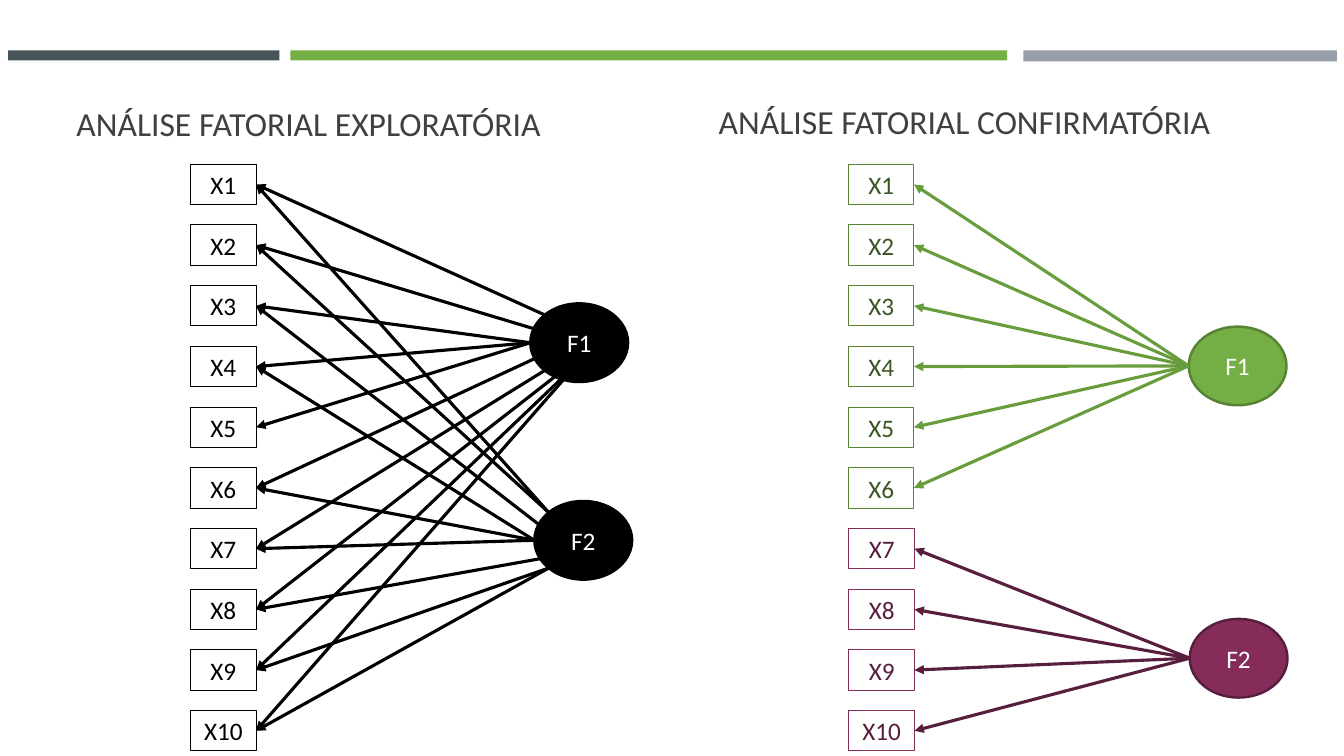
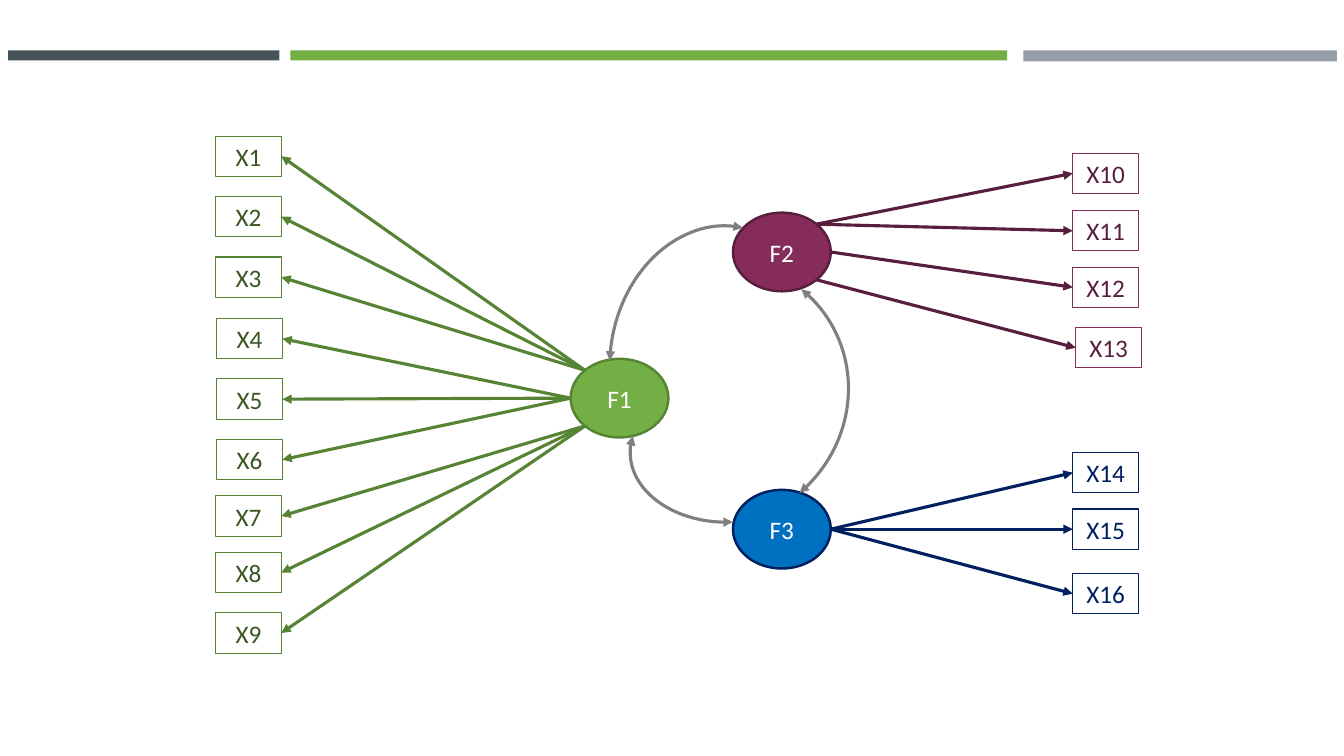
"""Builds two slides on exploratory and confirmatory factor analysis."""
from math import cos, radians, sin

from lxml import etree
from pptx import Presentation
from pptx.dml.color import RGBColor
from pptx.enum import shapes, text
from pptx.oxml.ns import qn
from pptx.util import Inches, Pt

COLORS = {
    "white": "FFFFFF", "black": "000000", "title": "404040", "slate": "465359",
    "steel": "969FA7", "green": "74AF45", "mid_green": "689D3E",
    "dark_green": "578334", "deep_green": "3A5723", "plum": "852C5B",
    "dark_plum": "581E3D", "blue": "0070C0", "navy": "002060", "gray": "808080",
}
RGB = {name: RGBColor.from_string(value) for name, value in COLORS.items()}
RECT, OVAL, ARC = (shapes.MSO_SHAPE.RECTANGLE, shapes.MSO_SHAPE.OVAL,
                   shapes.MSO_SHAPE.ARC)
BOX_W, BOX_H = 0.65, 0.4
FACTOR_W, FACTOR_H = 0.97, 0.78
LEFT_SIDE, RIGHT_SIDE = 1, 3


def add_label(slide, words, x, y, w, h, kind=RECT, fill=None, line=None,
              weight=0.75, color="white", size=18, align=text.PP_ALIGN.CENTER):
    shape = slide.shapes.add_shape(kind, Inches(x), Inches(y), Inches(w), Inches(h))
    shape.shadow.inherit = False
    if fill:
        shape.fill.solid()
        shape.fill.fore_color.rgb = RGB[fill]
    else:
        shape.fill.background()
    if line:
        shape.line.color.rgb = RGB[line]
        shape.line.width = Pt(weight)
    else:
        shape.line.fill.background()
    if words:
        frame = shape.text_frame
        frame.word_wrap = False
        frame.vertical_anchor = text.MSO_ANCHOR.MIDDLE
        paragraph = frame.paragraphs[0]
        paragraph.alignment = align
        run = paragraph.add_run()
        run.text = words
        run.font.name = "Calibri"
        run.font.size = Pt(size)
        run.font.color.rgb = RGB[color]
    return shape


def add_path(slide, box, side, factor, angle, color):
    end_x = factor.left + factor.width * (1 + cos(radians(angle))) / 2
    end_y = factor.top + factor.height * (1 + sin(radians(angle))) / 2
    path = slide.shapes.add_connector(
        shapes.MSO_CONNECTOR.STRAIGHT, box.left, box.top, int(end_x), int(end_y))
    path.begin_connect(box, side)
    path.line.color.rgb = RGB[color]
    path.line.width = Pt(2.25)
    properties = path._element.spPr
    etree.SubElement(properties.find(qn("a:ln")), qn("a:headEnd"), type="triangle")
    etree.SubElement(properties, qn("a:effectLst"))


deck = Presentation()
deck.slide_width, deck.slide_height = Inches(13.33), Inches(7.5)
comparison, correlated = [deck.slides.add_slide(deck.slide_layouts[6]) for _ in range(2)]

for slide in (comparison, correlated):
    for x, w, h, fill in ((0.08, 2.69, 0.1, "slate"), (10.15, 3.11, 0.11, "steel"),
                          (2.88, 7.11, 0.1, "green")):
        add_label(slide, "", x, 0.5, w, h, fill=fill)

for heading, x, y in (("ANÁLISE FATORIAL EXPLORATÓRIA", 0.66, 0.99),
                      ("ANÁLISE FATORIAL CONFIRMATÓRIA", 7.03, 0.97)):
    add_label(comparison, heading, x, y, 6.01, 0.46, color="title", size=24,
              align=text.PP_ALIGN.LEFT)

row_tops = [1.63 + 5.42 * row / 9 for row in range(10)]

exploratory_boxes = [
    add_label(comparison, f"X{number}", 1.89, top, BOX_W, BOX_H,
              fill="white", line="black", color="black")
    for number, top in enumerate(row_tops, 1)]
exploratory_factors = (
    ("F1", 5.26, 3.01, (225, 201, 180, 180, 180, 156, 135, 120, 112, 109)),
    ("F2", 5.3, 4.97, (225, 225, 204, 180, None, 180, 180, 152, 135, 135)),
)
for name, x, y, angles in exploratory_factors:
    factor = add_label(comparison, name, x, y, FACTOR_W, FACTOR_H, kind=OVAL,
                       fill="black", line="black", weight=1.75)
    for box, angle in zip(exploratory_boxes, angles):
        if angle is not None:
            add_path(comparison, box, RIGHT_SIDE, factor, angle, "black")

greens = ("green", "dark_green", "dark_green", "deep_green")
plums = ("plum", "dark_plum", "plum", "dark_plum")
blues = ("blue", "navy", "navy", "navy")
measured_factors = (
    (comparison, "F1", 11.79, 3.24, greens, "mid_green", RIGHT_SIDE, 1,
     [(8.415, top, 180) for top in row_tops[:6]]),
    (comparison, "F2", 11.8, 6.14, plums, "dark_plum", RIGHT_SIDE, 7,
     [(8.42, top, 180) for top in row_tops[6:]]),
    (correlated, "F1", 5.66, 3.56, greens, "dark_green", RIGHT_SIDE, 1,
     [(2.14, 1.35, 225), (2.14, 1.95, 225), (2.14, 2.55, 225),
      (2.15, 3.16, 180), (2.15, 3.76, 180), (2.15, 4.36, 180),
      (2.14, 4.92, 135), (2.14, 5.48, 135), (2.14, 6.08, 135)]),
    (correlated, "F2", 7.27, 2.11, plums, "dark_plum", LEFT_SIDE, 10,
     [(10.64, 1.52, 315), (10.64, 2.09, 315), (10.64, 2.65, 0), (10.67, 3.25, 45)]),
    (correlated, "F3", 7.27, 4.86, blues, "navy", LEFT_SIDE, 14,
     [(10.64, 4.49, 0), (10.64, 5.05, 0), (10.64, 5.69, 0)]),
)
for slide, name, x, y, palette, path_color, side, first, items in measured_factors:
    factor_fill, factor_line, box_line, box_text = palette
    factor = add_label(slide, name, x, y, FACTOR_W, FACTOR_H, kind=OVAL,
                       fill=factor_fill, line=factor_line, weight=1.75)
    for number, (box_x, box_y, angle) in enumerate(items, first):
        box = add_label(slide, f"X{number}", box_x, box_y, BOX_W, BOX_H,
                        fill="white", line=box_line, color=box_text)
        add_path(slide, box, side, factor, angle, path_color)

for x, y, w, h, rotation, start, end in (
        (6.25, 3.8, 1.9, 1.38, 180, 158.62, 6.07),
        (5.81, 2.48, 2.62, 2.13, 279.3, 155.38, 0.98),
        (5.82, 2.57, 2.57, 2.67, 44.8, 158.62, 3.17)):
    correlation = add_label(correlated, "", x, y, w, h, kind=ARC, line="gray", weight=2.25)
    correlation.rotation = rotation
    correlation.adjustments[0], correlation.adjustments[1] = start, end
    outline = correlation._element.spPr.find(qn("a:ln"))
    for tip in ("a:headEnd", "a:tailEnd"):
        etree.SubElement(outline, qn(tip), type="triangle")

deck.save("out.pptx")
